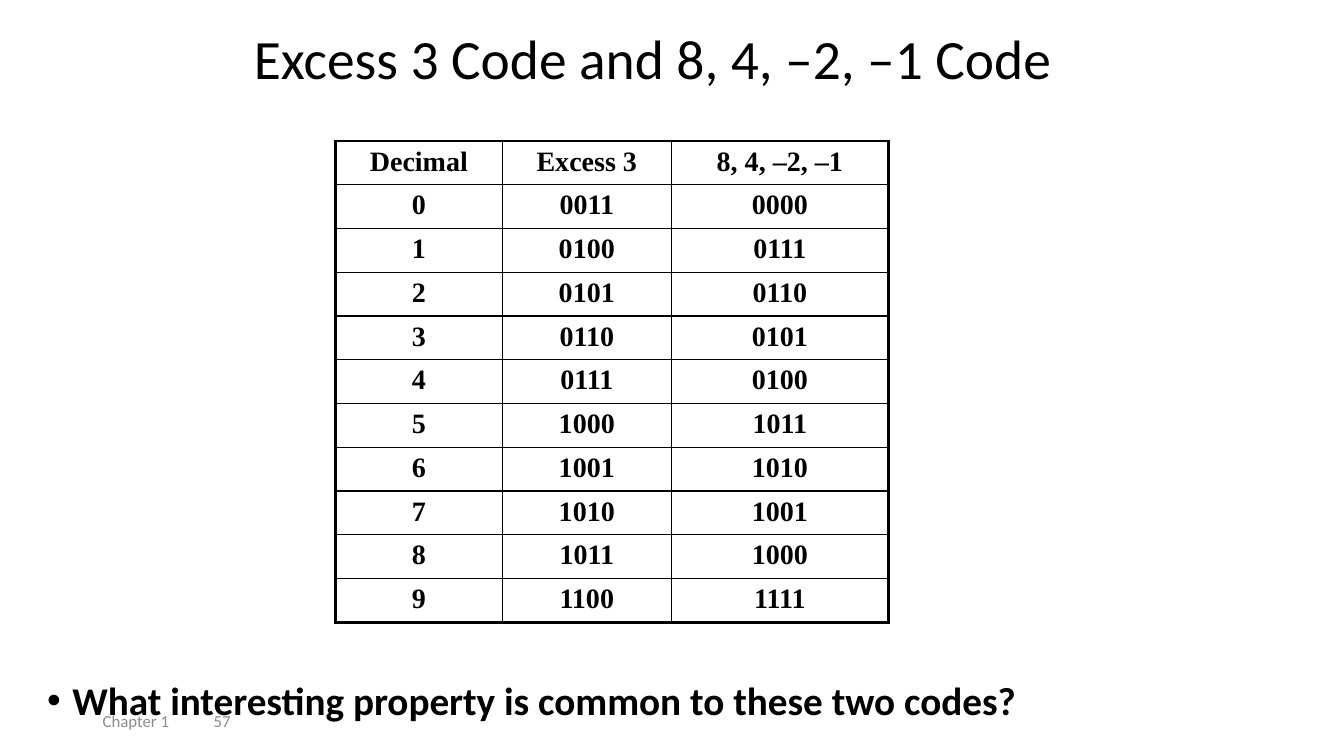
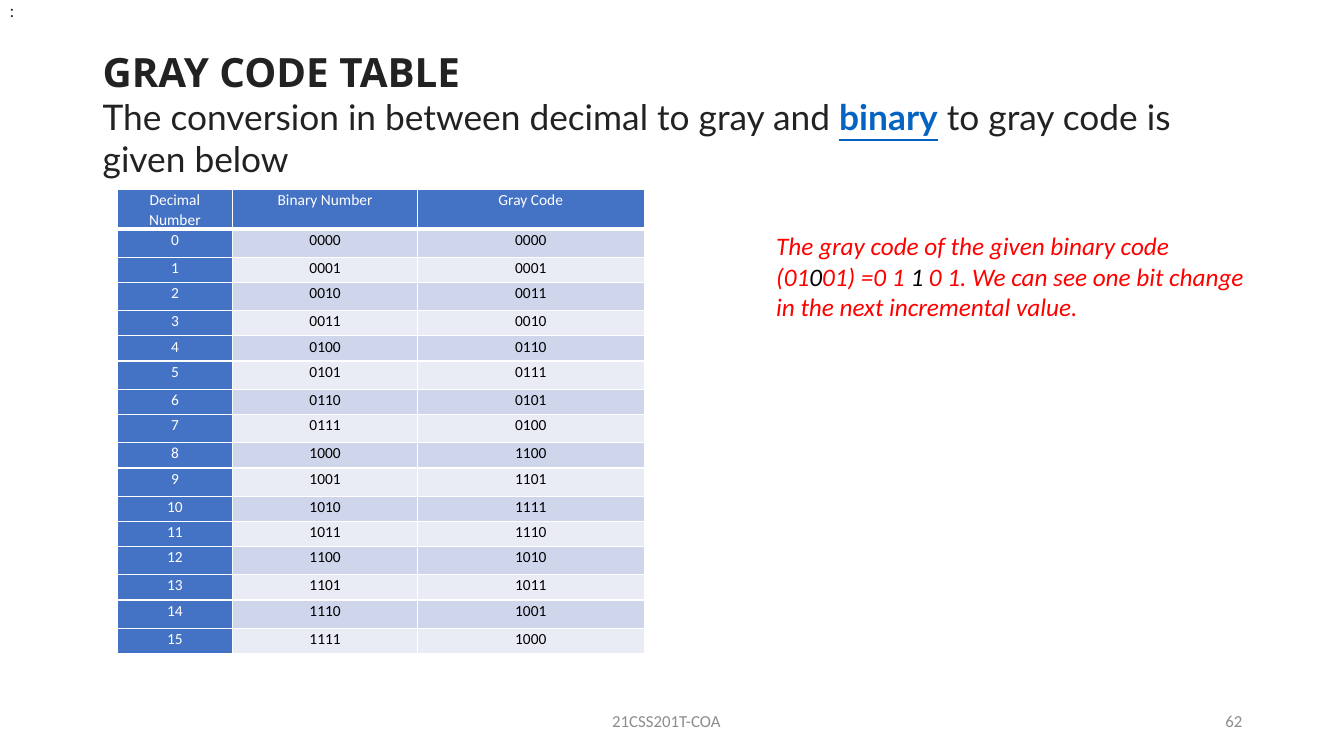
from math import ceil

from lxml import etree
from pptx import Presentation
from pptx.dml.color import RGBColor
from pptx.enum import text
from pptx.oxml.ns import qn
from pptx.util import Inches, Pt

COLORS = {"black": "000000", "ink": "222222", "grey": "8C8C8C", "white": "FFFFFF",
          "link": "0563C1", "red": "FF0000", "blue": "4472C4",
          "band_dark": "CFD5EA", "band_light": "E9EBF5"}
LEFT, CENTER, RIGHT = text.PP_ALIGN.LEFT, text.PP_ALIGN.CENTER, text.PP_ALIGN.RIGHT
TOP, MIDDLE = text.MSO_ANCHOR.TOP, text.MSO_ANCHOR.MIDDLE

FOOTER = dict(size=12, font="Calibri", color="grey")
FOOTER_TOP, FOOTER_HEIGHT = 6.95, 0.4


def add_text(s, box, paragraphs, align=LEFT, anchor=TOP, spacing=1.0):
    """Add a text box; each paragraph is a list of (words, style) runs."""
    tf = s.shapes.add_textbox(*map(Inches, box)).text_frame
    tf.word_wrap = True
    tf.vertical_anchor = anchor
    for i, runs in enumerate(paragraphs):
        p = tf.add_paragraph() if i else tf.paragraphs[0]
        p.alignment, p.line_spacing = align, spacing
        for words, style in runs:
            r = p.add_run()
            r.text = words
            f = r.font
            f.size, f.name = Pt(style["size"]), style["font"]
            f.color.rgb = RGBColor.from_string(COLORS[style["color"]])
            f.bold, f.italic = style.get("bold", False), style.get("italic", False)
            f.underline = style.get("underline", False)
    return tf


def add_grid(s, left, top, widths, heights, rows, look, cell_style):
    """Add a table; cell_style(row, column) gives text colour, fill and L, R, T, B line widths."""
    frame = s.shapes.add_table(len(rows), len(widths), Inches(left), Inches(top),
                               Inches(sum(widths)), Inches(sum(heights)))
    table = frame.table
    table.first_row = table.horz_banding = False
    for column, width in zip(table.columns, widths):
        column.width = Inches(width)
    for i, (row, height) in enumerate(zip(rows, heights)):
        table.rows[i].height = Inches(height)
        for j, words in enumerate(row):
            color, fill, lines = cell_style(i, j)
            cell = table.cell(i, j)
            cell.margin_left = cell.margin_right = Inches(look["margins"][0])
            cell.margin_top = cell.margin_bottom = Inches(look["margins"][1])
            for side, width in zip("LRTB", lines):
                ln = etree.SubElement(cell._tc.get_or_add_tcPr(), qn(f"a:ln{side}"), w=str(Pt(width)))
                paint = etree.SubElement(ln, qn("a:solidFill"))
                etree.SubElement(paint, qn("a:srgbClr"), val=COLORS[look["border"]])
            if fill:
                cell.fill.solid()
                cell.fill.fore_color.rgb = RGBColor.from_string(COLORS[fill])
            else:
                cell.fill.background()
            p = cell.text_frame.paragraphs[0]
            p.alignment, p.line_spacing = CENTER, look["spacing"]
            r = p.add_run()
            r.text = words
            r.font.size, r.font.name, r.font.bold = Pt(look["size"]), look["font"], look["bold"]
            r.font.color.rgb = RGBColor.from_string(COLORS[color])


prs = Presentation()
prs.slide_width, prs.slide_height = Inches(13.33), Inches(7.5)
blank = prs.slide_layouts[6]

# Excess 3 and 8, 4, –2, –1 codes
s = prs.slides.add_slide(blank)
tf = add_text(s, (0.92, FOOTER_TOP, 3, FOOTER_HEIGHT), [[("Chapter 1\t57", FOOTER)]], anchor=MIDDLE)
tabs = etree.SubElement(tf.paragraphs[0]._p.get_or_add_pPr(), qn("a:tabLst"))
etree.SubElement(tabs, qn("a:tab"), pos=str(Inches(1.1)), algn="l")

question = dict(size=28, font="Calibri", color="black", bold=True)
tf = add_text(s, (0.37, 6.71, 11.5, 0.55),
              [[("What interesting property is common to these two codes?", question)]], spacing=0.9)
pPr = tf.paragraphs[0]._p.get_or_add_pPr()
pPr.set("marL", str(Inches(0.25)))
pPr.set("indent", str(-Inches(0.25)))
etree.SubElement(pPr, qn("a:buFont"), typeface="Arial")
etree.SubElement(pPr, qn("a:buChar"), char="•")

title = dict(size=39.6, font="Calibri", color="black")
add_text(s, (2.42, 0, 8.53, 1.23), [[("Excess 3 Code and 8, 4, –2, –1 Code", title)]],
         anchor=MIDDLE, spacing=0.9)

code_rows = [("Decimal", "Excess 3", "8, 4, –2, –1")]
for d in range(10):
    # Smallest multiple of 4 not below d, less what the negative weights take away
    upper = 4 * ceil(d / 4)
    code_rows.append((str(d), f"{d + 3:04b}", f"{2 * upper - d:04b}"))


def outlined(i, j):
    edges = (j == 0, j == 2, i == 0, i == len(code_rows) - 1)
    return "black", None, [2.25 if edge else 1 for edge in edges]


add_grid(s, 3.33, 1.4, [1.65, 1.68, 2.15], [0.41] * 7 + [0.43] * 3 + [0.41], code_rows,
         dict(size=20, font="Times New Roman", bold=True, spacing=1.0,
              margins=(0.1, 0.05), border="black"), outlined)

# Gray code table
s = prs.slides.add_slide(blank)
heading = dict(size=28.8, font="Open Sans", color="ink", bold=True)
lead = dict(size=25.2, font="Lato", color="ink")
add_text(s, (0.92, 0.4, 11.5, 1.45), [
    [("GRAY CODE TABLE", heading)],
    [("The conversion in between decimal to gray and ", lead),
     ("binary", dict(lead, color="link", bold=True, underline=True)),
     (" to gray code is given below", lead)]], anchor=MIDDLE)

gray_rows = [("Decimal Number", "Binary Number", "Gray Code")]
gray_rows += [(str(n), f"{n:04b}", f"{n ^ n >> 1:04b}") for n in range(16)]
tall_rows = (0, 2, 5, 7, 9, 12, 14)
heights = [0.39] + [0.28 if n in tall_rows else 0.25 for n in range(16)]


def banded(i, j):
    lines = (1, 1, 3 if i == 1 else 1, 3 if i == 0 else 1)
    if i == 0 or j == 0:
        return "white", "blue", lines
    return "black", "band_dark" if i % 2 else "band_light", lines


add_grid(s, 1.16, 1.88, [1.15, 1.83, 2.25], heights, gray_rows,
         dict(size=11, font="Calibri", bold=False, spacing=1.07,
              margins=(0.07, 0), border="white"), banded)

for left, width, words, align in ((4.36, 4.5, "21CSS201T-COA", CENTER), (9.42, 3, "62", RIGHT)):
    add_text(s, (left, FOOTER_TOP, width, FOOTER_HEIGHT), [[(words, FOOTER)]], align, MIDDLE)

add_text(s, (0, 0, 0.3, 0.22), [[(":", dict(size=12, font="Lato", color="ink"))]], anchor=MIDDLE)

note = dict(size=18, font="Calibri", color="red", italic=True)
changed_bit = dict(note, color="black")
add_text(s, (7.6, 2.24, 4.84, 1.01), [
    [("The gray code of the given binary code", note)],
    [("(01", note), ("0", changed_bit), ("01) =0 1 ", note), ("1", changed_bit),
     (" 0 1. We can see one bit change in the next incremental value.", note)]])

prs.save("out.pptx")
